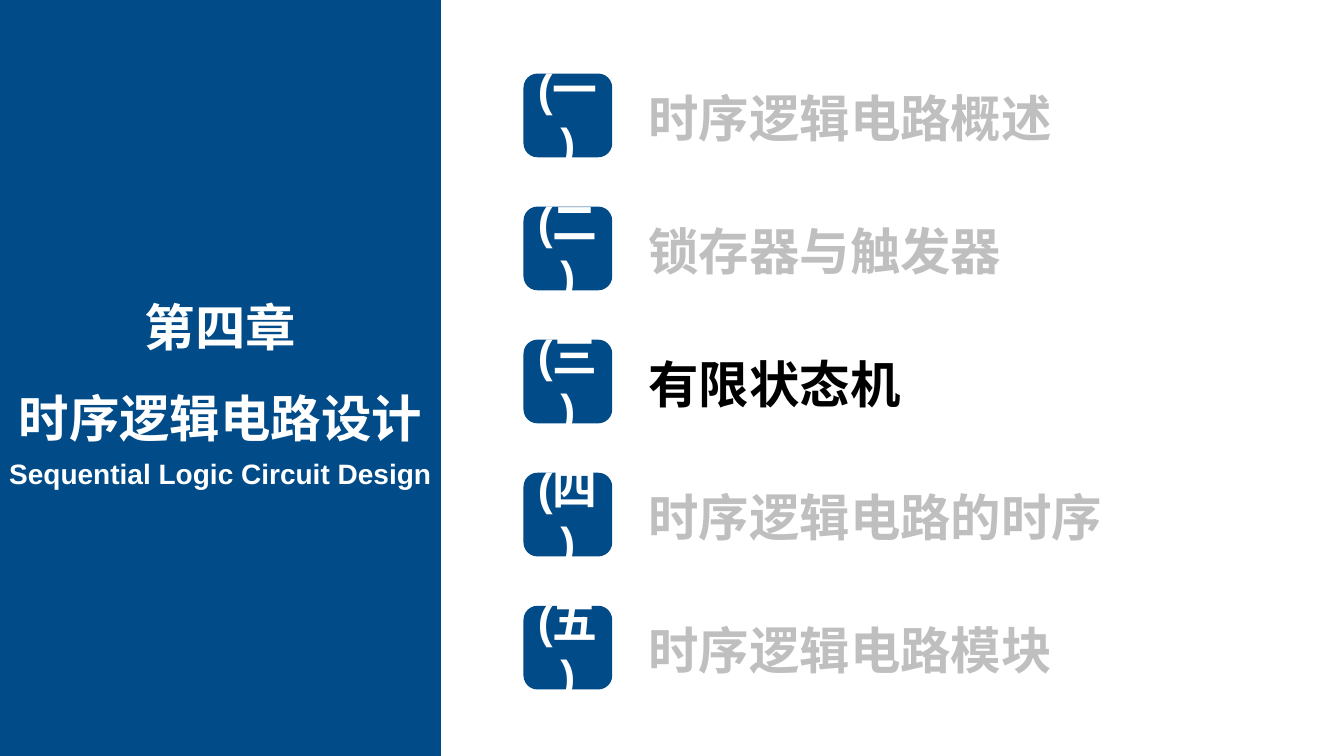
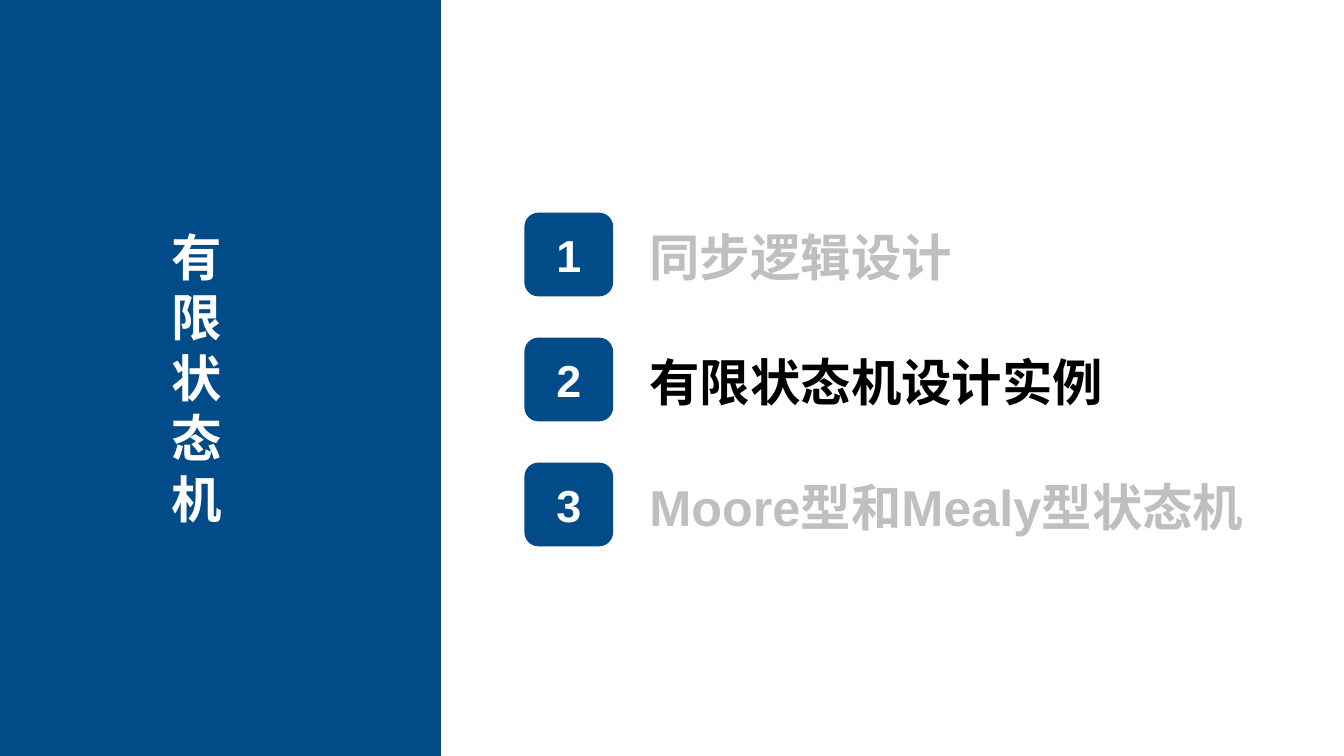
"""Build two agenda slides with a blue side band and numbered topics."""
from dataclasses import dataclass

from lxml.etree import SubElement
from pptx import Presentation
from pptx.dml.color import RGBColor
from pptx.enum.shapes import MSO_SHAPE
from pptx.enum.text import MSO_ANCHOR, MSO_AUTO_SIZE, PP_ALIGN
from pptx.oxml.ns import qn
from pptx.shapes.autoshape import Shape
from pptx.slide import Slide
from pptx.text.text import TextFrame
from pptx.util import Inches, Pt

WIDE, HIGH = Inches(13.33), Inches(7.5)
BLUE = RGBColor(0x01, 0x4B, 0x88)
WHITE = RGBColor(0xFF, 0xFF, 0xFF)
GRAY = RGBColor(0xBF, 0xBF, 0xBF)
BLACK = RGBColor(0x00, 0x00, 0x00)
FACE = "Arial"
LINE = 43.2
BAND = 32.8


@dataclass
class Box:
    """Place on the slide, in percent of its width and height."""
    left: float
    top: float
    width: float
    height: float

    def cut(self) -> tuple[int, int, int, int]:
        """Return the lengths in slide units."""
        return (int(WIDE * self.left / 100), int(HIGH * self.top / 100),
                int(WIDE * self.width / 100), int(HIGH * self.height / 100))


@dataclass
class Topic:
    """One numbered line of the agenda."""
    mark: str
    text: str
    live: bool = False


@dataclass
class Page:
    """One agenda slide."""
    title: str
    head: Box
    lead: float
    left: float
    top: float
    step: float
    topics: list[Topic]
    sub: str = ""


PAGES = [
    Page("第四章\n时序逻辑电路设计", Box(0, 35.2, BAND, 24.2), 1.5 * LINE,
         38.95, 9.73, 17.6,
         [Topic("(一)", "时序逻辑电路概述"),
          Topic("(二)", "锁存器与触发器"),
          Topic("(三)", "有限状态机", True),
          Topic("(四)", "时序逻辑电路的时序"),
          Topic("(五)", "时序逻辑电路模块")],
         "Sequential Logic Circuit Design"),
    Page("有限状态机", Box(11.4, 29.87, 6.45, 40.4), LINE,
         39.02, 28.13, 16.53,
         [Topic("1", "同步逻辑设计"),
          Topic("2", "有限状态机设计实例", True),
          Topic("3", "Moore型和Mealy型状态机")]),
]


def place(shape: Shape, box: Box) -> None:
    """Move a shape into its box."""
    shape.left, shape.top, shape.width, shape.height = box.cut()


def write(frame: TextFrame, text: str, size: float, inks: list[RGBColor],
          align: PP_ALIGN, lead: float = 0, gap: float = 0,
          anchor: MSO_ANCHOR = MSO_ANCHOR.MIDDLE,
          pad: tuple[float, float] = (0, 0)) -> None:
    """Fill a frame with bold lines, one ink for each."""
    frame.text = text
    frame.word_wrap = True
    frame.auto_size = MSO_AUTO_SIZE.NONE
    frame.vertical_anchor = anchor
    frame.margin_left = frame.margin_right = Inches(pad[0])
    frame.margin_top = frame.margin_bottom = Inches(pad[1])
    for row, (para, ink) in enumerate(zip(frame.paragraphs, inks)):
        para.alignment = align
        para.line_spacing = Pt(lead) if lead else 1.0
        para.space_before = Pt(gap if row else 0)
        para.space_after = Pt(0)
        font = para.font
        font.size, font.bold = Pt(size), True
        font.color.rgb = ink
        font.name = FACE
        props = para._p.get_or_add_pPr()
        props.set("marL", "0")
        props.set("indent", "0")
        base = props.find(qn("a:defRPr"))
        SubElement(base, qn("a:ea")).set("typeface", FACE)
        base.addprevious(SubElement(props, qn("a:buNone")))


def block(slide: Slide, kind: MSO_SHAPE, box: Box) -> Shape:
    """Add a plain blue shape."""
    shape = slide.shapes.add_shape(kind, *box.cut())
    shape.shadow.inherit = False
    shape.fill.solid()
    shape.fill.fore_color.rgb = BLUE
    shape.line.fill.background()
    return shape


def badge(slide: Slide, page: Page, row: int, mark: str) -> None:
    """Draw the numbered square of one row."""
    box = Box(page.left, page.top + row * page.step, 6.6, 11.07)
    shape = block(slide, MSO_SHAPE.ROUNDED_RECTANGLE, box)
    write(shape.text_frame, mark, 32, [WHITE], PP_ALIGN.CENTER,
          pad=(0.08, 0.05))


def draw(slide: Slide, page: Page) -> None:
    """Draw the band, the title and the topics."""
    band = block(slide, MSO_SHAPE.RECTANGLE, Box(0, 0, BAND, 100))
    slide.shapes.element.insert(2, band.element)

    title = slide.shapes.title
    place(title, page.head)
    write(title.text_frame, page.title, 36, [WHITE, WHITE], PP_ALIGN.CENTER,
          page.lead, anchor=MSO_ANCHOR.TOP)
    if page.sub:
        box = Box(0, 60.4, BAND, 4.53)
        note = slide.shapes.add_textbox(*box.cut())
        write(note.text_frame, page.sub, 20, [WHITE], PP_ALIGN.CENTER,
              anchor=MSO_ANCHOR.TOP)

    body = slide.placeholders[1]
    tall = (len(page.topics) - 1) * page.step + 8.13
    place(body, Box(page.left + 9.3, page.top + 1.67, 51, tall))
    write(body.text_frame, "\n".join(topic.text for topic in page.topics), 36,
          [BLACK if topic.live else GRAY for topic in page.topics],
          PP_ALIGN.LEFT, LINE, page.step / 100 * HIGH.pt - LINE)
    for row, topic in enumerate(page.topics):
        badge(slide, page, row, topic.mark)


def main() -> None:
    """Build and save the deck."""
    deck = Presentation()
    deck.slide_width, deck.slide_height = WIDE, HIGH
    for page in PAGES:
        draw(deck.slides.add_slide(deck.slide_layouts[1]), page)
    deck.save("out.pptx")


if __name__ == "__main__":
    main()
